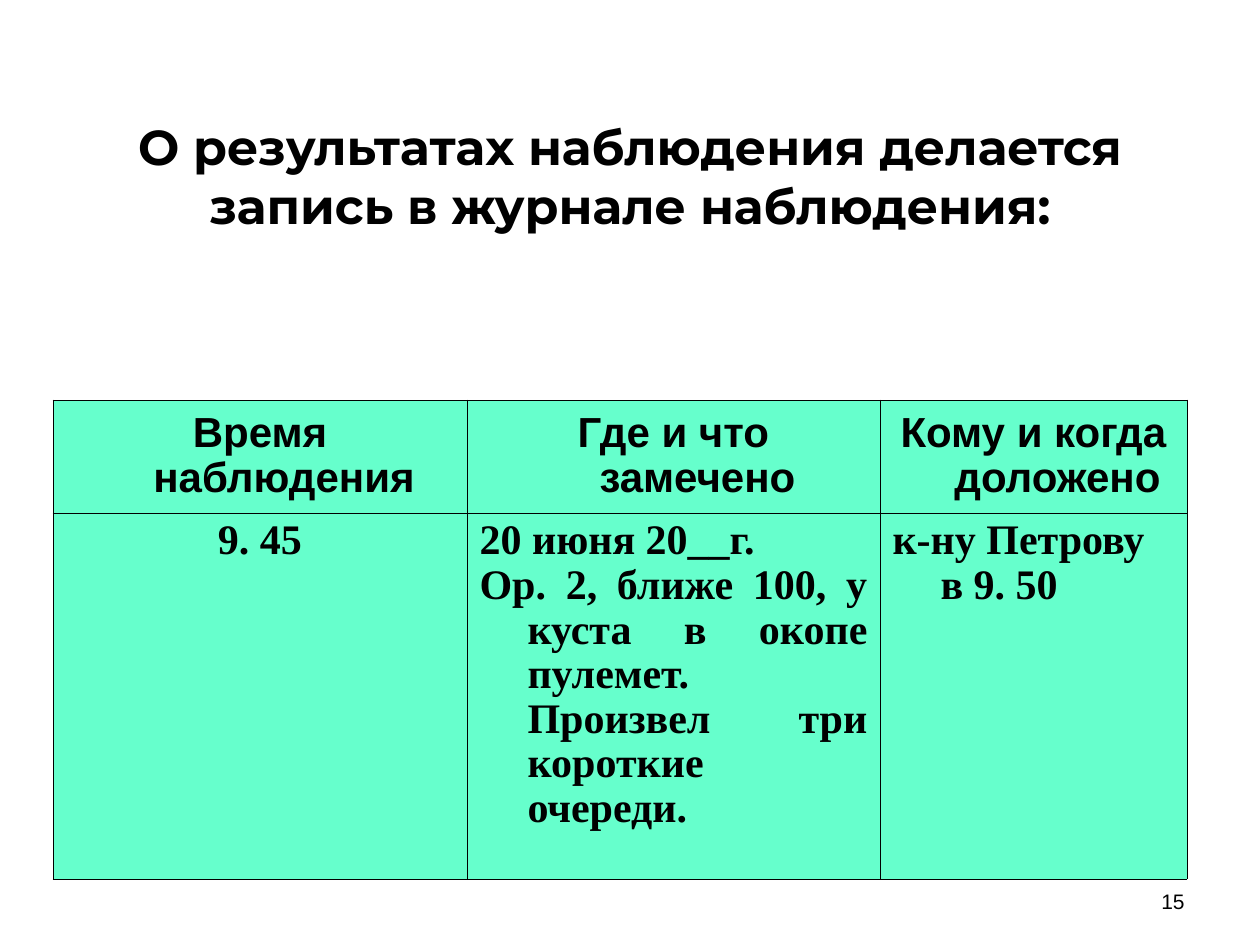
from dataclasses import dataclass

import lxml.etree
import pptx
import pptx.dml.color
import pptx.enum.text
import pptx.oxml.ns
import pptx.util

RGBColor = pptx.dml.color.RGBColor
Align = pptx.enum.text.PP_ALIGN
Anchor = pptx.enum.text.MSO_ANCHOR
qn = pptx.oxml.ns.qn

BLACK = RGBColor(0x00, 0x00, 0x00)
WHITE = RGBColor(0xFF, 0xFF, 0xFF)
MINT = RGBColor(0x66, 0xFF, 0xCC)

PX_PER_INCH = 126
COLUMN_WIDTHS = (414, 413, 307)
ROW_HEIGHTS = (113, 366)
HANGING_INDENT = 48


@dataclass(frozen=True)
class Entry:
    paragraphs: tuple[str, ...]
    font: str
    align: Align
    anchor: Anchor


def header(text: str) -> Entry:
    return Entry((text,), "Arial", Align.CENTER, Anchor.MIDDLE)


def record(align: Align, *paragraphs: str) -> Entry:
    return Entry(paragraphs, "Times New Roman", align, Anchor.TOP)


JOURNAL = (
    (
        header("Время наблюдения"),
        header("Где и что замечено"),
        header("Кому и когда доложено"),
    ),
    (
        record(Align.CENTER, "9. 45"),
        record(
            Align.JUSTIFY,
            "20 июня 20__г.",
            "Ор. 2, ближе 100, у куста в окопе пулемет. "
            "Произвел три короткие очереди.",
        ),
        record(Align.LEFT, "к-ну Петрову в 9. 50"),
    ),
)


def px(length: int) -> int:
    return round(length * pptx.util.Inches(1) / PX_PER_INCH)


def style(para, font: str, size: int, bold: bool, align: Align) -> None:
    para.alignment = align
    para.font.name = font
    para.font.size = pptx.util.Pt(size)
    para.font.bold = bold
    para.font.color.rgb = BLACK


def add_borders(cell) -> None:
    properties = cell._tc.get_or_add_tcPr()
    for side in ("a:lnL", "a:lnR", "a:lnT", "a:lnB"):
        line = lxml.etree.SubElement(
            properties, qn(side), w=str(pptx.util.Pt(0.45))
        )
        fill = lxml.etree.SubElement(line, qn("a:solidFill"))
        lxml.etree.SubElement(fill, qn("a:srgbClr"), val=str(BLACK))


def fill_cell(cell, entry: Entry) -> None:
    add_borders(cell)
    cell.fill.solid()
    cell.fill.fore_color.rgb = MINT
    cell.vertical_anchor = entry.anchor
    cell.text_frame.text = "\n".join(entry.paragraphs)
    for para in cell.text_frame.paragraphs:
        style(para, entry.font, 24, True, entry.align)
        para.line_spacing = 0.96
        indents = para._p.get_or_add_pPr()
        indents.set("marL", str(px(HANGING_INDENT)))
        indents.set("indent", str(-px(HANGING_INDENT)))


def add_title(page) -> None:
    title = page.shapes.title
    title.left, title.top = px(63), px(126)
    title.width, title.height = px(1134), px(158)
    title.fill.solid()
    title.fill.fore_color.rgb = WHITE
    frame = title.text_frame
    frame.text = "О результатах наблюдения делается запись в журнале наблюдения:\v"
    frame.word_wrap = True
    frame.auto_size = pptx.enum.text.MSO_AUTO_SIZE.NONE
    frame.vertical_anchor = Anchor.MIDDLE
    style(frame.paragraphs[0], "Montserrat", 28, True, Align.CENTER)


def add_journal(page) -> None:
    table = page.shapes.add_table(
        len(ROW_HEIGHTS), len(COLUMN_WIDTHS), px(53), px(400),
        px(sum(COLUMN_WIDTHS)), px(sum(ROW_HEIGHTS)),
    ).table
    for column, width in zip(table.columns, COLUMN_WIDTHS):
        column.width = px(width)
    for row, height, entries in zip(table.rows, ROW_HEIGHTS, JOURNAL):
        row.height = px(height)
        for cell, entry in zip(row.cells, entries):
            fill_cell(cell, entry)


def add_page_number(page) -> None:
    box = page.shapes.add_textbox(px(903), px(876), px(294), px(50))
    frame = box.text_frame
    frame.word_wrap = True
    frame.vertical_anchor = Anchor.MIDDLE
    frame.text = "15"
    style(frame.paragraphs[0], "Arial", 12, False, Align.RIGHT)


def main() -> None:
    deck = pptx.Presentation()
    deck.slide_width, deck.slide_height = px(1260), px(945)
    page = deck.slides.add_slide(deck.slide_layouts[5])
    add_title(page)
    add_journal(page)
    add_page_number(page)
    deck.save("out.pptx")


if __name__ == "__main__":
    main()
